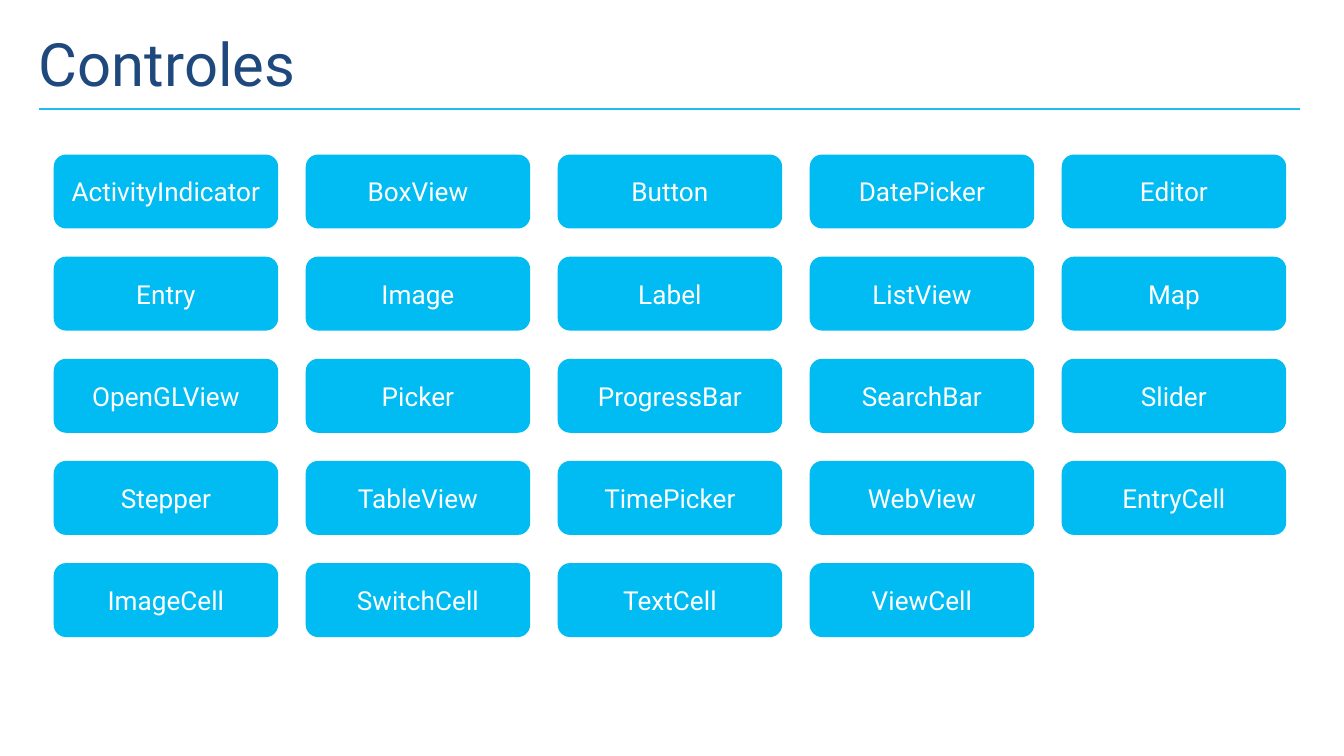
from typing import NamedTuple

from lxml.etree import SubElement
from pptx import Presentation
from pptx.dml.color import RGBColor
from pptx.enum.shapes import MSO_CONNECTOR as Link, MSO_SHAPE as Shape
from pptx.enum.text import MSO_ANCHOR as Anchor, PP_ALIGN as Align
from pptx.oxml.ns import qn
from pptx.slide import Slide
from pptx.text.text import _Paragraph as Para
from pptx.util import Inches, Pt

FONT = "Roboto"
NAVY = RGBColor(0x1F, 0x49, 0x7D)
SKY = RGBColor(0x22, 0xBD, 0xEF)
CYAN = RGBColor(0x00, 0xBC, 0xF2)
WHITE = RGBColor(0xFF, 0xFF, 0xFF)

COLS = 5
LEFT, RIGHT, TOP = 0.4, 7.9, 1.15
STEP_X = (RIGHT - LEFT) / (COLS - 1)
STEP_Y = 0.76
WIDTH, HEIGHT = 1.67, 0.55

NAMES = (
    "ActivityIndicator", "BoxView", "Button", "DatePicker", "Editor",
    "Entry", "Image", "Label", "ListView", "Map",
    "OpenGLView", "Picker", "ProgressBar", "SearchBar", "Slider",
    "Stepper", "TableView", "TimePicker", "WebView", "EntryCell",
    "ImageCell", "SwitchCell", "TextCell", "ViewCell",
)


class Tile(NamedTuple):
    name: str
    row: int
    col: int


def set_text(para: Para, text: str, size: int, color: RGBColor) -> None:
    para.text = text
    para.font.name = FONT
    para.font.size = Pt(size)
    para.font.color.rgb = color


def add_rule(slide: Slide) -> None:
    """Draw the thin line under the title."""
    rule = slide.shapes.add_connector(
        Link.STRAIGHT, Inches(0.29), Inches(0.81), Inches(9.67), Inches(0.81)
    )
    rule.line.color.rgb = SKY
    rule.line.width = Pt(1)
    SubElement(rule._element.spPr, qn("a:effectLst"))


def add_title(slide: Slide, text: str) -> None:
    box = slide.shapes.add_textbox(
        Inches(0.29), Inches(0.17), Inches(7.71), Inches(0.65)
    )
    frame = box.text_frame
    frame.word_wrap = True
    frame.margin_left = frame.margin_right = Inches(0)
    frame.margin_top = frame.margin_bottom = Inches(0)
    para = frame.paragraphs[0]
    para.line_spacing = 1.05
    set_text(para, text, 32, NAVY)


def add_tile(slide: Slide, tile: Tile) -> None:
    box = slide.shapes.add_shape(
        Shape.ROUNDED_RECTANGLE,
        Inches(LEFT + tile.col * STEP_X),
        Inches(TOP + tile.row * STEP_Y),
        Inches(WIDTH),
        Inches(HEIGHT),
    )
    box.shadow.inherit = False
    box.fill.solid()
    box.fill.fore_color.rgb = CYAN
    box.line.fill.background()
    frame = box.text_frame
    frame.word_wrap = True
    frame.vertical_anchor = Anchor.MIDDLE
    para = frame.paragraphs[0]
    para.alignment = Align.CENTER
    set_text(para, tile.name, 14, WHITE)


def main() -> None:
    deck = Presentation()
    deck.slide_width = Inches(10)
    deck.slide_height = Inches(10 * 9 / 16)
    slide = deck.slides.add_slide(deck.slide_layouts[6])
    add_rule(slide)
    add_title(slide, "Controles")
    for i, name in enumerate(NAMES):
        add_tile(slide, Tile(name, *divmod(i, COLS)))
    deck.save("out.pptx")


if __name__ == "__main__":
    main()
